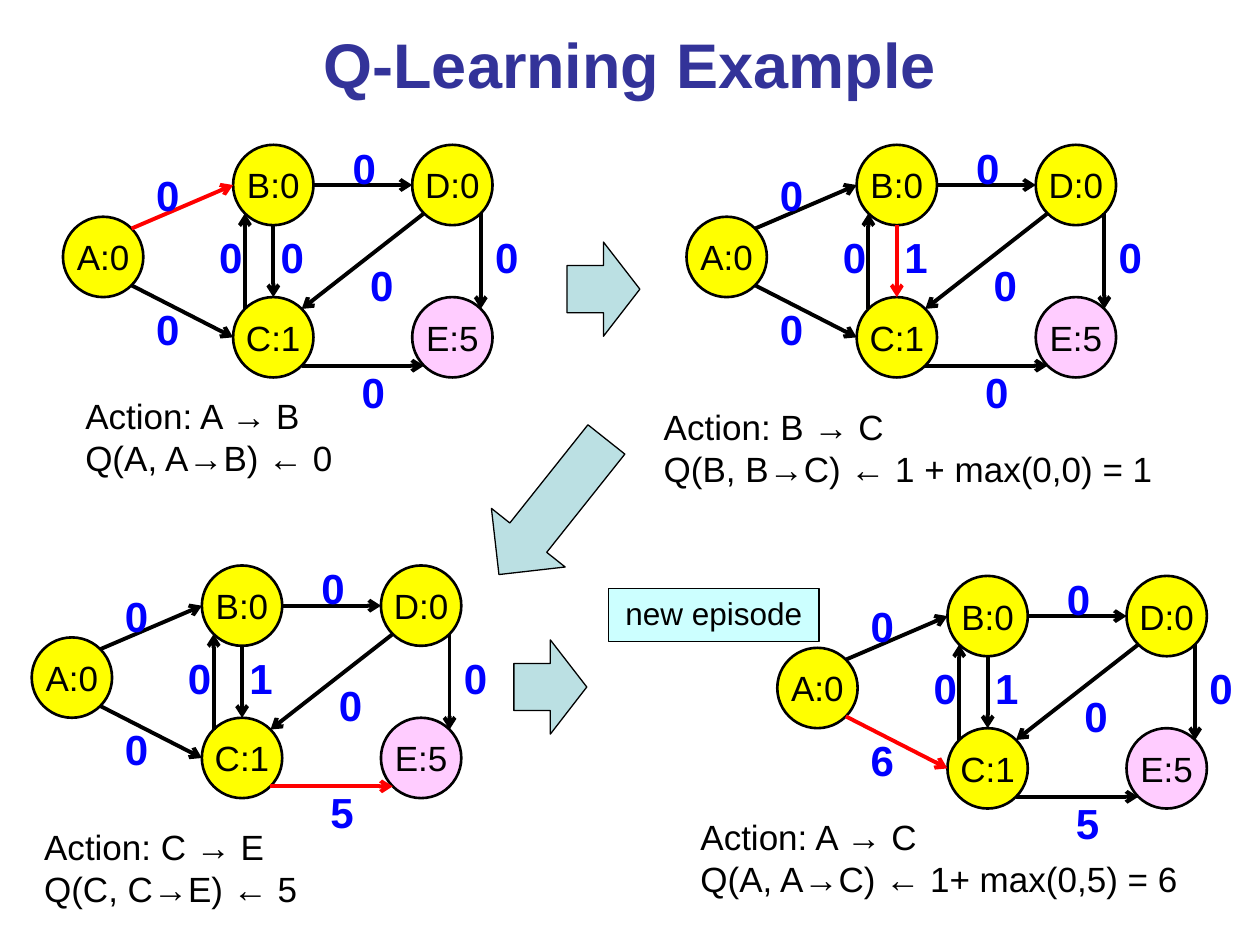
from dataclasses import dataclass
from math import sqrt

from lxml import etree
from pptx import Presentation
from pptx import util as u
from pptx.dml.color import RGBColor
from pptx.enum import shapes, text
from pptx.oxml import ns


@dataclass(frozen=True)
class Theme:
    font: str = "Arial"
    title: str = "333399"
    ink: str = "000000"
    value: str = "0000FF"
    chosen: str = "FF0000"
    state: str = "FFFF00"
    goal: str = "FFCCFF"
    arrow: str = "BBE0E3"
    note: str = "CCFFFF"
    title_size: int = 36
    value_size: int = 24
    body_size: int = 20
    note_size: int = 18


THEME = Theme()

# State graph, in cm from the top left corner of its box
DIAMETER = 1.62
STATES = {
    "A": ("A:0", 0, 1.45),
    "B": ("B:0", 3.43, 0),
    "C": ("C:1", 3.43, 3.07),
    "D": ("D:0", 7.04, 0),
    "E": ("E:5", 7.04, 3.07),
}
# Edge: (side it leaves, side it enters, left and top of its value)
EDGES = {
    "AB": ("NE", "W", 1.63, 0.38),
    "AC": ("SE", "W", 1.63, 3.07),
    "CB": ("NW", "SW", 2.9, 1.63),
    "BC": ("S", "N", 4.14, 1.63),
    "BD": ("E", "W", 5.59, -0.18),
    "CE": ("SE", "SW", 5.77, 4.34),
    "DE": ("SE", "NE", 8.46, 1.63),
    "DC": ("SW", "NE", 5.94, 2.18),
}
# Step: box left and top, chosen edge, values other than 0, caption offset, width and lines
STEPS = [
    (1.27, 2.92, "AB", {}, (0.2, 4.9, 5.51),
     ["Action: A → B", "Q(A, A→B) ← 0"]),
    (13.84, 2.92, "BC", {"BC": 1}, (-0.71, 5.13, 10.39),
     ["Action: B → C", "Q(B, B→C) ← 1 + max(0,0) = 1"]),
    (0.64, 11.4, "CE", {"BC": 1, "CE": 5}, (0, 5.11, 5.79),
     ["Action: C → E", "Q(C, C→E) ← 5"]),
    (15.67, 11.61, "AC", {"BC": 1, "CE": 5, "AC": 6}, (-1.8, 4.7, 10.16),
     ["Action: A → C", "Q(A, A→C) ← 1+ max(0,5) = 6"]),
]
# Block arrows between steps: left, top, width, rotation
TRANSITIONS = [(11.43, 4.88, 1.47, 0), (9.4, 9.27, 3.48, 128.5), (10.36, 12.9, 1.47, 0)]


def cm(*lengths):
    return [u.Cm(length) for length in lengths]


def write(shape, lines, size, color, bold=False, align=text.PP_ALIGN.LEFT):
    shape.text_frame.text = "\n".join(lines)
    for paragraph in shape.text_frame.paragraphs:
        paragraph.alignment = align
        for run in paragraph.runs:
            run.font.name = THEME.font
            run.font.size = u.Pt(size)
            run.font.bold = bold
            run.font.color.rgb = RGBColor.from_string(color)


def add_box(parent, kind, box, fill, line_width):
    shape = parent.add_shape(kind, *cm(*box))
    shape.shadow.inherit = False
    shape.fill.solid()
    shape.fill.fore_color.rgb = RGBColor.from_string(fill)
    shape.line.color.rgb = RGBColor.from_string(THEME.ink)
    shape.line.width = u.Pt(line_width)
    return shape


def add_state(parent, left, top, name):
    label, x, y = STATES[name]
    fill = THEME.goal if name == "E" else THEME.state
    circle = add_box(parent, shapes.MSO_SHAPE.OVAL,
                     (left + x, top + y, DIAMETER, DIAMETER), fill, 1.5)
    frame = circle.text_frame
    frame.margin_left = frame.margin_right = frame.margin_top = frame.margin_bottom = 0
    frame.vertical_anchor = text.MSO_ANCHOR.MIDDLE
    frame.word_wrap = False
    write(circle, [label], THEME.body_size, THEME.ink, align=text.PP_ALIGN.CENTER)


def rim_point(left, top, name, side):
    """Point on the rim of a state circle at a compass side."""
    _, x, y = STATES[name]
    radius = DIAMETER / 2
    reach = radius / sqrt(len(side))
    across = ("E" in side) - ("W" in side)
    down = ("S" in side) - ("N" in side)
    return left + x + radius + across * reach, top + y + radius + down * reach


def add_edge(parent, left, top, edge, color):
    leaves, enters = EDGES[edge][:2]
    start = rim_point(left, top, edge[0], leaves)
    end = rim_point(left, top, edge[1], enters)
    connector = parent.add_connector(shapes.MSO_CONNECTOR.STRAIGHT, *cm(*start, *end))
    connector.line.color.rgb = RGBColor.from_string(color)
    connector.line.width = u.Pt(2.25)
    line = connector.line._get_or_add_ln()
    etree.SubElement(line, ns.qn("a:tailEnd"), type="arrow")
    etree.SubElement(connector._element.spPr, ns.qn("a:effectLst"))


def add_label(parent, box, lines, size, color, bold=False):
    label = parent.add_textbox(*cm(*box))
    label.text_frame.word_wrap = False
    label.text_frame.auto_size = text.MSO_AUTO_SIZE.SHAPE_TO_FIT_TEXT
    write(label, lines, size, color, bold)


def add_step(slide, left, top, chosen, values, caption, lines):
    graph = slide.shapes.add_group_shape().shapes
    for name in STATES:
        add_state(graph, left, top, name)
    for edge in EDGES:
        add_edge(graph, left, top, edge, THEME.chosen if edge == chosen else THEME.ink)
    for edge, (_, _, x, y) in EDGES.items():
        add_label(graph, (left + x, top + y, 0.99, 1.27), [str(values.get(edge, 0))],
                  THEME.value_size, THEME.value, bold=True)
    x, y, width = caption
    add_label(slide.shapes, (left + x, top + y, width, 1.96), lines,
              THEME.body_size, THEME.ink)


def add_title(slide, box):
    title = slide.shapes.add_textbox(*cm(*box))
    title.text_frame.word_wrap = True
    title.text_frame.vertical_anchor = text.MSO_ANCHOR.MIDDLE
    write(title, ["Q-Learning Example"], THEME.title_size, THEME.title, True,
          text.PP_ALIGN.CENTER)


def add_transition(slide, left, top, width, rotation):
    arrow = add_box(slide.shapes, shapes.MSO_SHAPE.RIGHT_ARROW,
                    (left, top, width, 1.9), THEME.arrow, 0.75)
    arrow.rotation = rotation


def add_note(slide, box):
    note = add_box(slide.shapes, shapes.MSO_SHAPE.RECTANGLE, box, THEME.note, 0.75)
    note.text_frame.vertical_anchor = text.MSO_ANCHOR.TOP
    write(note, ["new episode"], THEME.note_size, THEME.ink, align=text.PP_ALIGN.CENTER)


def main():
    presentation = Presentation()
    presentation.slide_width, presentation.slide_height = cm(25.4, 19.05)
    slide = presentation.slides.add_slide(presentation.slide_layouts[6])
    add_title(slide, (0, 0, 25.4, 2.54))
    for step in STEPS:
        add_step(slide, *step)
    for transition in TRANSITIONS:
        add_transition(slide, *transition)
    add_note(slide, (12.27, 11.86, 4.24, 1.07))
    presentation.save("out.pptx")


if __name__ == "__main__":
    main()
